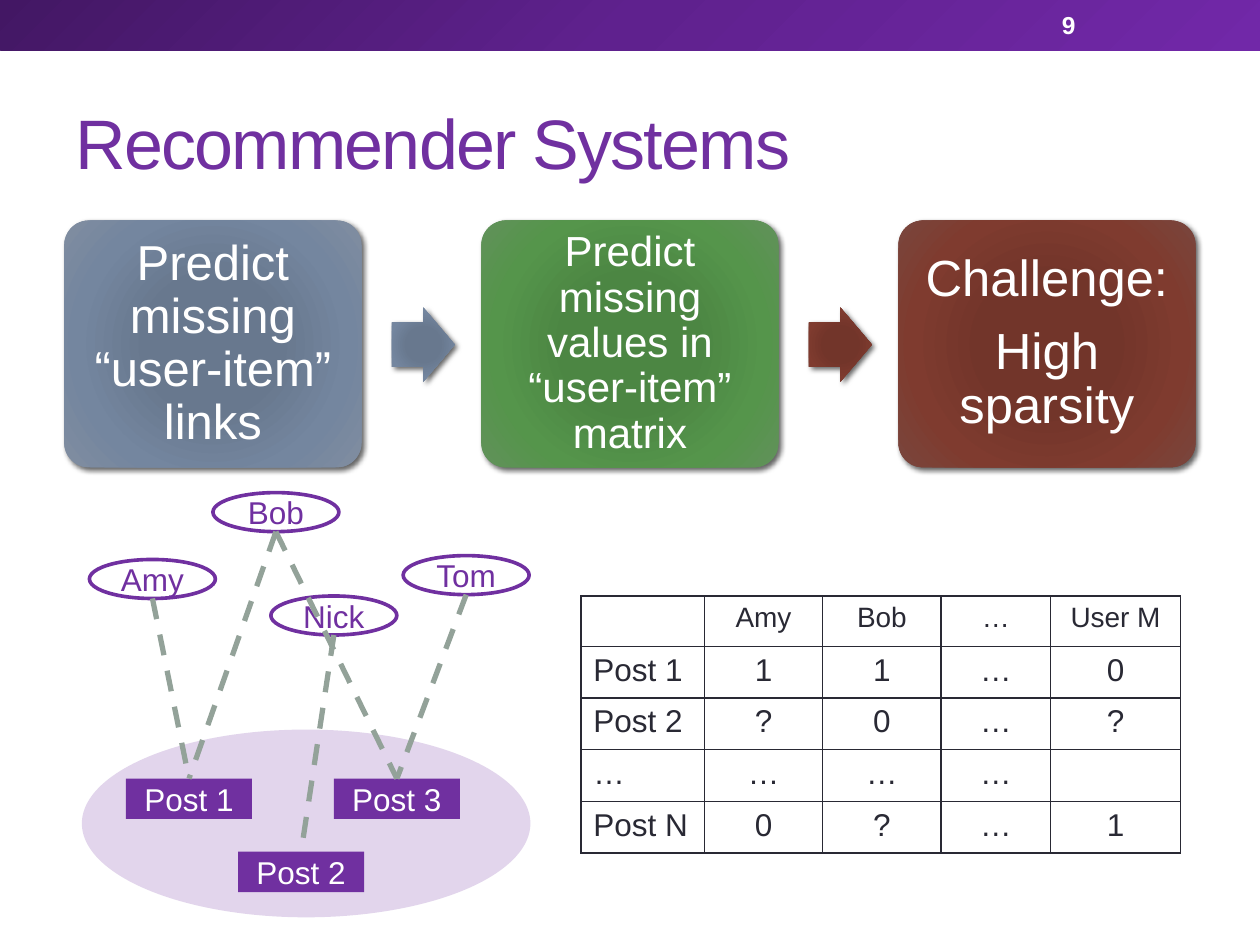
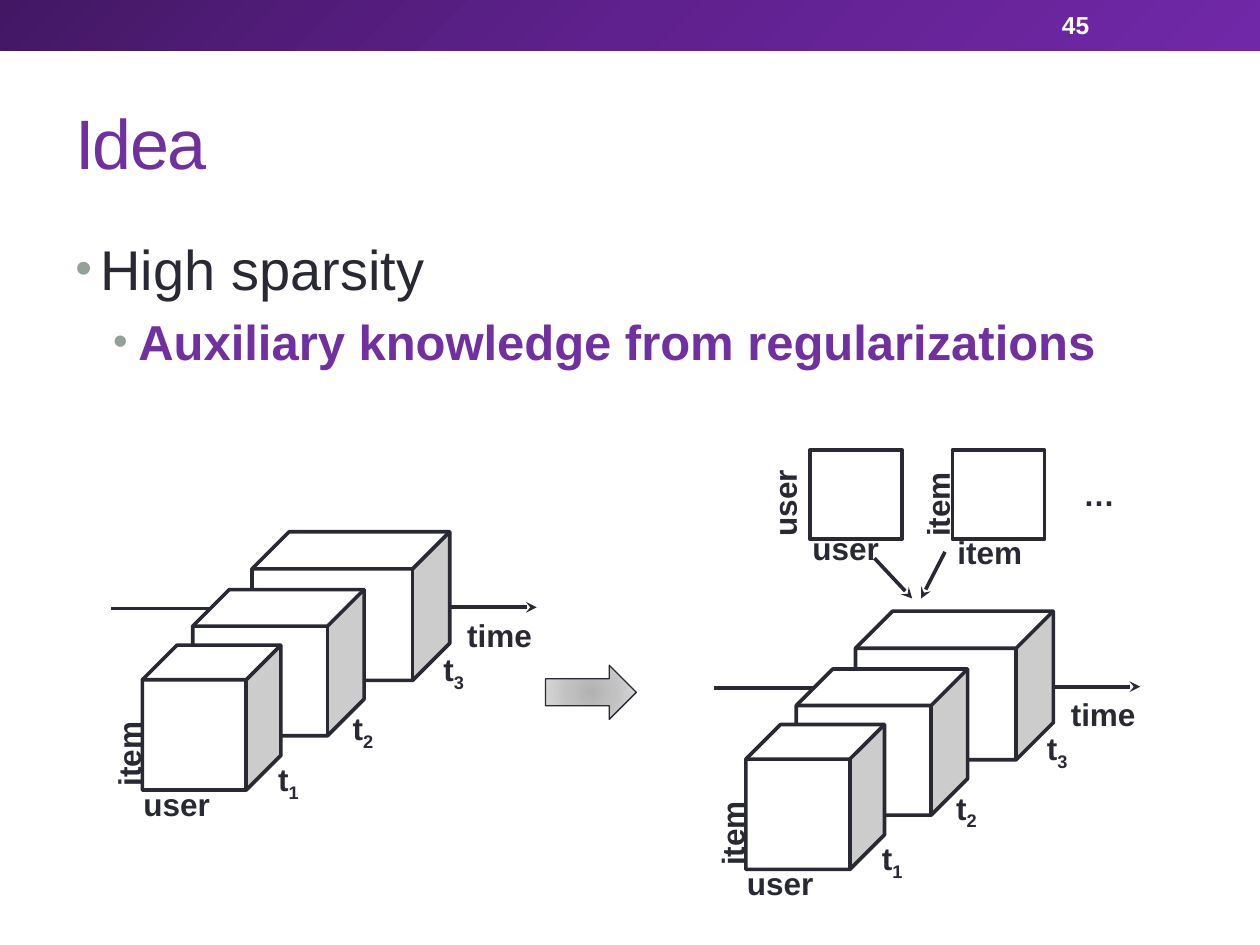
from dataclasses import dataclass

from lxml import etree
from pptx import Presentation
from pptx.dml.color import RGBColor
from pptx.enum.dml import MSO_LINE
from pptx.enum.shapes import MSO_CONNECTOR, MSO_SHAPE
from pptx.enum.text import MSO_ANCHOR, MSO_AUTO_SIZE, PP_ALIGN
from pptx.oxml.ns import qn
from pptx.util import Inches, Pt

LEFT, CENTER = PP_ALIGN.LEFT, PP_ALIGN.CENTER
TOP, MIDDLE = MSO_ANCHOR.TOP, MSO_ANCHOR.MIDDLE
RECTANGLE, ROUNDED = MSO_SHAPE.RECTANGLE, MSO_SHAPE.ROUNDED_RECTANGLE
OVAL, CUBE, ARROW = MSO_SHAPE.OVAL, MSO_SHAPE.CUBE, MSO_SHAPE.RIGHT_ARROW
STRAIGHT, DASH = MSO_CONNECTOR.STRAIGHT, MSO_LINE.DASH
FIT_SHAPE = MSO_AUTO_SIZE.SHAPE_TO_FIT_TEXT
TOP_SIDE = 0

# Slide grid: 100 columns by 75 rows
WIDTH, HEIGHT = Inches(10), Inches(7.5)
COLUMNS, ROWS = 100, 75


def col(count: float) -> int:
    return round(WIDTH * count / COLUMNS)


def row(count: float) -> int:
    return round(HEIGHT * count / ROWS)


@dataclass(frozen=True)
class Gradient:
    stops: tuple[tuple[int, str], ...]
    angle: int | None = None  # None makes it circular


def card_gradient(*colors: str) -> Gradient:
    return Gradient(tuple(zip((0, 34, 70, 100), colors)))


@dataclass(frozen=True)
class Theme:
    font: str = "Arial"
    purple: str = "7030A0"
    ink: str = "292934"
    sage: str = "93A299"
    white: str = "FFFFFF"
    band: Gradient = Gradient(((0, "431764"), (50, "5F218E"), (100, "7128A8")), 45)
    slate: Gradient = card_gradient("677790", "68788E", "74869F", "808DA0")
    green: Gradient = card_gradient("4A8841", "4C8643", "55954B", "61915A")
    brick: Gradient = card_gradient("743327", "72352A", "7F3B2F", "79463D")
    gray: Gradient = Gradient(((0, "B2B2B3"), (45, "C1C1C2"), (100, "DDDDDE")))
    title: int = 40
    body: int = 32
    sub_body: int = 28
    label: int = 18
    table_head: int = 16
    page_number: int = 14
    outline: float = 2.08
    link: float = 3


THEME = Theme()


@dataclass(frozen=True)
class Area:
    left: float
    top: float
    width: float
    height: float

    def emu(self) -> tuple[int, int, int, int]:
        return col(self.left), row(self.top), col(self.width), row(self.height)

    def moved(self, right: float, down: float) -> "Area":
        return Area(self.left + right, self.top + down, self.width, self.height)


@dataclass(frozen=True)
class Card:
    lines: tuple[str, ...]
    size: int
    inset: float
    fill: Gradient


@dataclass(frozen=True)
class Label:
    text: str
    area: Area
    subscript: str = ""
    rotation: int = 0


# Drawing helpers
def rgb(color: str) -> RGBColor:
    return RGBColor.from_string(color)


def child(parent, tag: str, **attributes):
    values = {name: str(value) for name, value in attributes.items()}
    return etree.SubElement(parent, qn(tag), values)


def fill_gradient(box, gradient: Gradient) -> None:
    box.fill.gradient()
    node = box.element.spPr.find(qn("a:gradFill"))
    for old in list(node):
        node.remove(old)
    stops = child(node, "a:gsLst")
    for position, color in gradient.stops:
        child(child(stops, "a:gs", pos=position * 1000), "a:srgbClr", val=color)
    if gradient.angle is None:
        sides = dict.fromkeys("ltrb", 100000)
        child(child(node, "a:path", path="circle"), "a:fillToRect", **sides)
    else:
        child(node, "a:lin", ang=gradient.angle * 60000, scaled=0)


def add_box(page, kind, area: Area, fill: str | Gradient | None = None, *,
            line: str | None = None, width: float = THEME.outline,
            adjust: tuple[float, ...] = (), opacity: int = 100, shadow: bool = False):
    box = page.shapes.add_shape(kind, *area.emu())
    box.shadow.inherit = False
    for index, value in enumerate(adjust):
        box.adjustments[index] = value
    if isinstance(fill, Gradient):
        fill_gradient(box, fill)
    elif fill:
        box.fill.solid()
        box.fill.fore_color.rgb = rgb(fill)
        if opacity < 100:
            color = box.element.spPr.find(qn("a:solidFill"))[0]
            child(color, "a:alpha", val=opacity * 1000)
    else:
        box.fill.background()
    if line:
        box.line.color.rgb = rgb(line)
        box.line.width = Pt(width)
    else:
        box.line.fill.background()
    if shadow:
        effects = box.element.spPr.find(qn("a:effectLst"))
        outer = child(effects, "a:outerShdw", blurRad=Pt(3), dist=Pt(2),
                      dir=45 * 60000, algn="ctr", rotWithShape=0)
        child(child(outer, "a:srgbClr", val="000000"), "a:alpha", val=60000)
    return box


def write(frame, text: str, *, size: float = THEME.label, color: str = THEME.ink,
          bold: bool = False, align=LEFT, subscript: str = "", tracking: int = 0,
          line_spacing: float | None = None, before: float = 0, after: float = 0,
          bullet_indent: float | None = None) -> None:
    para = frame.paragraphs[0]
    if para.runs:
        para = frame.add_paragraph()
    para.alignment = align
    para.line_spacing = line_spacing
    para.space_before, para.space_after = Pt(before), Pt(after)
    if bullet_indent is not None:
        props = para._p.get_or_add_pPr()
        props.set("marL", str(col(bullet_indent)))
        props.set("indent", str(col(-2)))
        child(child(props, "a:buClr"), "a:srgbClr", val=THEME.sage)
        child(props, "a:buSzPct", val=85000)
        child(props, "a:buFont", typeface=THEME.font)
        child(props, "a:buChar", char="•")
    for part, baseline in ((text, 0), (subscript, -25)):
        if not part:
            continue
        span = para.add_run()
        span.text = part
        span.font.name, span.font.size, span.font.bold = THEME.font, Pt(size), bold
        span.font.color.rgb = rgb(color)
        props = span.font._element
        if tracking:
            props.set("spc", str(tracking * 100))
        if baseline:
            props.set("baseline", str(baseline * 1000))


def add_text_box(page, area: Area, anchor=TOP, wrap: bool = True):
    box = page.shapes.add_textbox(*area.emu())
    box.text_frame.word_wrap = wrap
    box.text_frame.vertical_anchor = anchor
    return box


def add_node(page, kind, area: Area, text: str, *, color: str, **look):
    box = add_box(page, kind, area, **look)
    box.text_frame.word_wrap = False
    box.text_frame.vertical_anchor = MIDDLE
    write(box.text_frame, text, color=color, align=CENTER)
    return box


def add_line(page, start: tuple[float, float], end: tuple[float, float], *,
             color: str = THEME.ink, width: float = THEME.outline,
             dash=None, arrow: bool = False):
    line = page.shapes.add_connector(STRAIGHT, col(start[0]), row(start[1]),
                                     col(end[0]), row(end[1]))
    line.line.color.rgb = rgb(color)
    line.line.width = Pt(width)
    if dash:
        line.line.dash_style = dash
    if arrow:
        child(line.line._get_or_add_ln(), "a:tailEnd", type="stealth")
    child(line._element.spPr, "a:effectLst")
    return line


def add_label(page, label: Label) -> None:
    box = add_text_box(page, label.area, wrap=False)
    box.text_frame.auto_size = FIT_SHAPE
    box.rotation = label.rotation
    write(box.text_frame, label.text, bold=True, subscript=label.subscript)


def start_page(deck, title: str, number: int):
    page = deck.slides.add_slide(deck.slide_layouts[6])
    add_box(page, RECTANGLE, Area(0, 0, COLUMNS, 4), THEME.band)
    heading = add_text_box(page, Area(5, 5.8, 90, 10.8), MIDDLE)
    write(heading.text_frame, title, size=THEME.title, color=THEME.purple, tracking=-1)
    counter = add_text_box(page, Area(83.3, 0.2, 11.7, 3.6), MIDDLE)
    write(counter.text_frame, str(number), size=THEME.page_number,
          color=THEME.white, bold=True)
    return page


# Recommender systems
CARDS = (
    Card(("Predict missing “user-item” links",), 28, 1.2, THEME.slate),
    Card(("Predict missing values in “user-item” matrix",), 24, 1, THEME.green),
    Card(("Challenge:", "High sparsity"), 29, 1.2, THEME.brick),
)
ARROW_FILLS = (THEME.slate, THEME.brick)
CARD_STEP = 33.1
USERS = {"Amy": (7.1, 44.4), "Tom": (32, 44.1), "Bob": (16.9, 39.1), "Nick": (21.5, 47.3)}
POSTS = {"Post 1": (10, 61.8), "Post 2": (18.9, 67.6), "Post 3": (26.5, 61.8)}
LINKS = (("Amy", "Post 1"), ("Bob", "Post 1"), ("Bob", "Post 3"),
         ("Tom", "Post 3"), ("Nick", "Post 2"))
MATRIX = (
    ("", "Amy", "Bob", "…", "User M"),
    ("Post 1", "1", "1", "…", "0"),
    ("Post 2", "?", "0", "…", "?"),
    ("…", "…", "…", "…", ""),
    ("Post N", "0", "?", "…", "1"),
)
MATRIX_COLUMNS = (9.8, 9.4, 9.4, 8.7, 10.3)
MATRIX_ROWS = (3.8, 4.1, 4.1, 4.1, 4.1)


def draw_cards(page) -> None:
    for index, card in enumerate(CARDS):
        box = add_box(page, ROUNDED, Area(5.1 + index * CARD_STEP, 17.5, 23.6, 19.6),
                      card.fill, adjust=(0.1,), shadow=True)
        frame = box.text_frame
        frame.word_wrap, frame.vertical_anchor = True, MIDDLE
        frame.margin_left = frame.margin_right = col(card.inset)
        frame.margin_top = frame.margin_bottom = row(card.inset)
        for text in card.lines:
            write(frame, text, size=card.size, color=THEME.white, align=CENTER,
                  line_spacing=0.9, after=round(card.size * 0.35, 1))
    for index, fill in enumerate(ARROW_FILLS):
        add_box(page, ARROW, Area(31.1 + index * CARD_STEP, 24.4, 5, 5.9), fill,
                adjust=(0.6, 0.5), shadow=True)


def draw_network(page) -> None:
    add_box(page, OVAL, Area(6.5, 57.9, 35.6, 14.9), THEME.purple, opacity=20)
    for name, place in USERS.items():
        add_node(page, OVAL, Area(*place, 10, 3.1), name,
                 color=THEME.purple, line=THEME.purple)
    posts = {name: add_node(page, RECTANGLE, Area(*place, 10, 3.2), name,
                            color=THEME.white, fill=THEME.purple)
             for name, place in POSTS.items()}
    for user, post in LINKS:
        left, top = USERS[user]
        line = add_line(page, (left + 5, top + 3.1), POSTS[post],
                        color=THEME.sage, width=THEME.link, dash=DASH)
        line.end_connect(posts[post], TOP_SIDE)


def draw_matrix(page) -> None:
    area = Area(46.1, 47.3, sum(MATRIX_COLUMNS), sum(MATRIX_ROWS))
    table = page.shapes.add_table(len(MATRIX), len(MATRIX[0]), *area.emu()).table
    table.first_row = table.horz_banding = False
    for column, width in zip(table.columns, MATRIX_COLUMNS):
        column.width = col(width)
    for index, (values, height) in enumerate(zip(MATRIX, MATRIX_ROWS)):
        table.rows[index].height = row(height)
        for place, value in enumerate(values):
            cell = table.cell(index, place)
            cell.fill.background()
            props = cell._tc.get_or_add_tcPr()
            for order, side in enumerate("LRTB"):
                border = child(props, f"a:ln{side}", w=Pt(1))
                child(child(border, "a:solidFill"), "a:srgbClr", val=THEME.ink)
                props.insert(order, border)
            write(cell.text_frame, value, align=CENTER if place else LEFT,
                  size=THEME.label if index else THEME.table_head)


# Idea
CUBES = (Area(20, 42.2, 15.7, 11.8), Area(15.3, 46.8, 13.6, 11.6), Area(11.3, 51.2, 11, 11.5))
STACK_LABELS = (
    Label("time", Area(36.1, 48.4, 7.2, 4)),
    Label("user", Area(10.4, 61.8, 7.3, 4)),
    Label("item", Area(6.6, 57.8, 7.2, 4), rotation=270),
    Label("t", Area(21.1, 59.8, 3.8, 4), "1"),
    Label("t", Area(27, 55.8, 3.8, 4), "2"),
    Label("t", Area(34.2, 51.1, 3.8, 4), "3"),
)
SQUARE_LABELS = (
    Label("…", Area(85, 37.2, 4.5, 4)),
    Label("user", Area(63.5, 41.5, 7.3, 4)),
    Label("user", Area(58.6, 37.9, 7.3, 4), rotation=270),
    Label("item", Area(70.8, 38, 7.2, 4), rotation=270),
    Label("item", Area(75, 41.8, 7.2, 4)),
)


def draw_stack(page, right: float, down: float) -> None:
    add_line(page, (8.8 + right, 48.3 + down), (19 + right, 48.3 + down))
    for area in CUBES:
        add_box(page, CUBE, area.moved(right, down), THEME.white, line=THEME.ink)
    add_line(page, (35.7 + right, 48.2 + down), (42.6 + right, 48.2 + down), arrow=True)
    for label in STACK_LABELS:
        area = label.area.moved(right, down)
        add_label(page, Label(label.text, area, label.subscript, label.rotation))


def draw_regularizers(page) -> None:
    for left in (64.3, 75.6):
        add_box(page, CUBE, Area(left, 35.7, 7.3, 7.1), THEME.white,
                line=THEME.ink, adjust=(0,))
    for label in SQUARE_LABELS:
        add_label(page, label)
    for start, end in (((69.4, 44.3), (72.4, 47.5)), ((75, 43.8), (73.1, 47.5))):
        add_line(page, start, end, arrow=True)


def main() -> None:
    deck = Presentation()
    deck.slide_width, deck.slide_height = WIDTH, HEIGHT

    page = start_page(deck, "Recommender Systems", 9)
    draw_network(page)
    draw_matrix(page)
    draw_cards(page)

    page = start_page(deck, "Idea", 45)
    frame = add_text_box(page, Area(5, 17.5, 90, 53.3)).text_frame
    frame.margin_top = row(1.1)
    write(frame, "High sparsity", size=THEME.body, bullet_indent=2)
    write(frame, "Auxiliary knowledge from regularizations", size=THEME.sub_body,
          color=THEME.purple, bold=True, before=5.6, bullet_indent=5)
    draw_stack(page, 0, 0)
    draw_regularizers(page)
    add_box(page, ARROW, Area(43.3, 52.8, 7.2, 4.3), THEME.gray, line=THEME.ink, width=0.75)
    draw_stack(page, 47.9, 6.3)
    deck.save("out.pptx")


if __name__ == "__main__":
    main()
